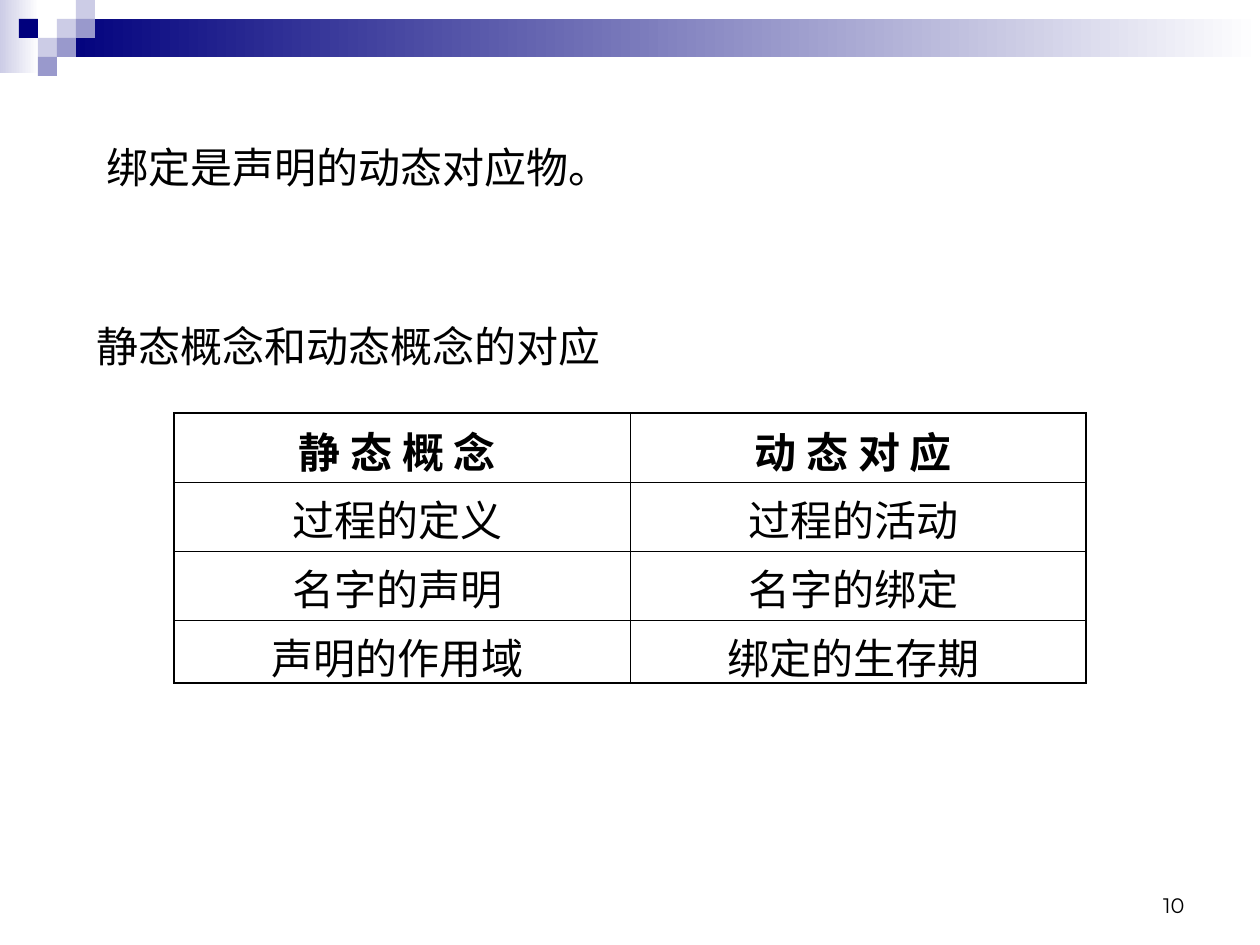
from dataclasses import dataclass

from lxml import etree
from pptx import Presentation
from pptx import util as u
from pptx.dml.color import RGBColor
from pptx.enum import shapes, text
from pptx.oxml import ns


@dataclass(frozen=True)
class Theme:
    navy: str = "00007D"
    violet: str = "9999CC"
    lilac: str = "CCCCE6"
    white: str = "FFFFFF"
    ink: str = "000000"
    body_font: str = "Arial"
    table_font: str = "Noto Sans CJK SC"
    number_font: str = "Montserrat"
    body_size: int = 24
    number_size: int = 12
    outer_line: float = 1.08
    inner_line: float = 0.45


def px(n):
    return u.Emu(round(n * 914400 / 126))


class SlideBuilder:
    def __init__(self, s, theme):
        self.s = s
        self.theme = theme

    def rect(self, x, y, w, h, *colors):
        sp = self.s.shapes.add_shape(
            shapes.MSO_SHAPE.RECTANGLE, px(x), px(y), px(w), px(h))
        sp.shadow.inherit = False
        sp.line.fill.background()
        if len(colors) == 1:
            sp.fill.solid()
            sp.fill.fore_color.rgb = RGBColor.from_string(colors[0])
            return
        sp.fill.gradient()
        sp.fill.gradient_angle = 0
        for stop, color in zip(sp.fill.gradient_stops, colors):
            stop.color.rgb = RGBColor.from_string(color)

    def set_text(self, tf, content, font, size, align, bold=False):
        tf.text = content
        p = tf.paragraphs[0]
        p.alignment = align
        r = p.runs[0]
        r.font.name = font
        r.font.size = u.Pt(size)
        r.font.bold = bold
        r.font.color.rgb = RGBColor.from_string(self.theme.ink)
        ea = etree.SubElement(r.font._element, ns.qn("a:ea"))
        ea.set("typeface", font)
        latin = r.font._element.find(ns.qn("a:latin"))
        latin.addnext(ea)

    def label(self, x, y, w, h, content, font, size,
              align=text.PP_ALIGN.LEFT, anchor=text.MSO_ANCHOR.TOP):
        tf = self.s.shapes.add_textbox(px(x), px(y), px(w), px(h)).text_frame
        tf.word_wrap = True
        tf.vertical_anchor = anchor
        self.set_text(tf, content, font, size, align)

    def border(self, cell, side, width):
        ln = etree.SubElement(cell._tc.get_or_add_tcPr(), ns.qn(f"a:ln{side}"))
        ln.set("w", str(u.Pt(width)))
        fill = etree.SubElement(ln, ns.qn("a:solidFill"))
        etree.SubElement(fill, ns.qn("a:srgbClr")).set("val", self.theme.ink)

    def table(self, x, y, col_width, heights, rows):
        t = self.theme
        n_rows, n_cols = len(rows), len(rows[0])
        tbl = self.s.shapes.add_table(
            n_rows, n_cols, px(x), px(y),
            px(col_width * n_cols), px(sum(heights))).table
        tbl.first_row = tbl.horz_banding = False
        for col in tbl.columns:
            col.width = px(col_width)
        for i, values in enumerate(rows):
            tbl.rows[i].height = px(heights[i])
            for j, value in enumerate(values):
                cell = tbl.cell(i, j)
                edges = {"L": j == 0, "R": j == n_cols - 1,
                         "T": i == 0, "B": i == n_rows - 1}
                for side, outer in edges.items():
                    self.border(cell, side, t.outer_line if outer else t.inner_line)
                cell.fill.background()
                cell.margin_bottom = 0
                self.set_text(cell.text_frame, value, t.table_font, t.body_size,
                              text.PP_ALIGN.CENTER, bold=i == 0)


def main():
    theme = Theme()
    prs = Presentation()
    prs.slide_width, prs.slide_height = px(1260), px(945)
    b = SlideBuilder(prs.slides.add_slide(prs.slide_layouts[6]), theme)

    tile = 19
    b.rect(0, 0, 39, 73, theme.lilac, theme.white)
    b.rect(3 * tile, tile, 1260 - 3 * tile, 2 * tile, theme.navy, theme.white)
    tiles = [
        (3, 1, theme.lilac), (4, 0, theme.lilac), (4, 1, theme.violet),
        (2, 2, theme.lilac), (1, 1, theme.navy), (3, 2, theme.violet),
        (2, 3, theme.violet),
    ]
    for col, row, color in tiles:
        b.rect(col * tile, row * tile, tile, tile, color)

    b.label(903, 861, 294, 63, "10", theme.number_font, theme.number_size,
            text.PP_ALIGN.RIGHT, text.MSO_ANCHOR.BOTTOM)
    b.label(84, 314, 566, 89, "静态概念和动态概念的对应",
            theme.body_font, theme.body_size)
    b.table(174, 413, 456, [69, 69, 69, 63], [
        ("静 态 概 念 ", "动 态 对 应 "),
        ("过程的定义 ", "过程的活动 "),
        ("名字的声明 ", "名字的绑定 "),
        ("声明的作用域 ", "绑定的生存期 "),
    ])
    b.label(94, 135, 903, 63, "绑定是声明的动态对应物。",
            theme.body_font, theme.body_size)
    prs.save("out.pptx")


if __name__ == "__main__":
    main()
